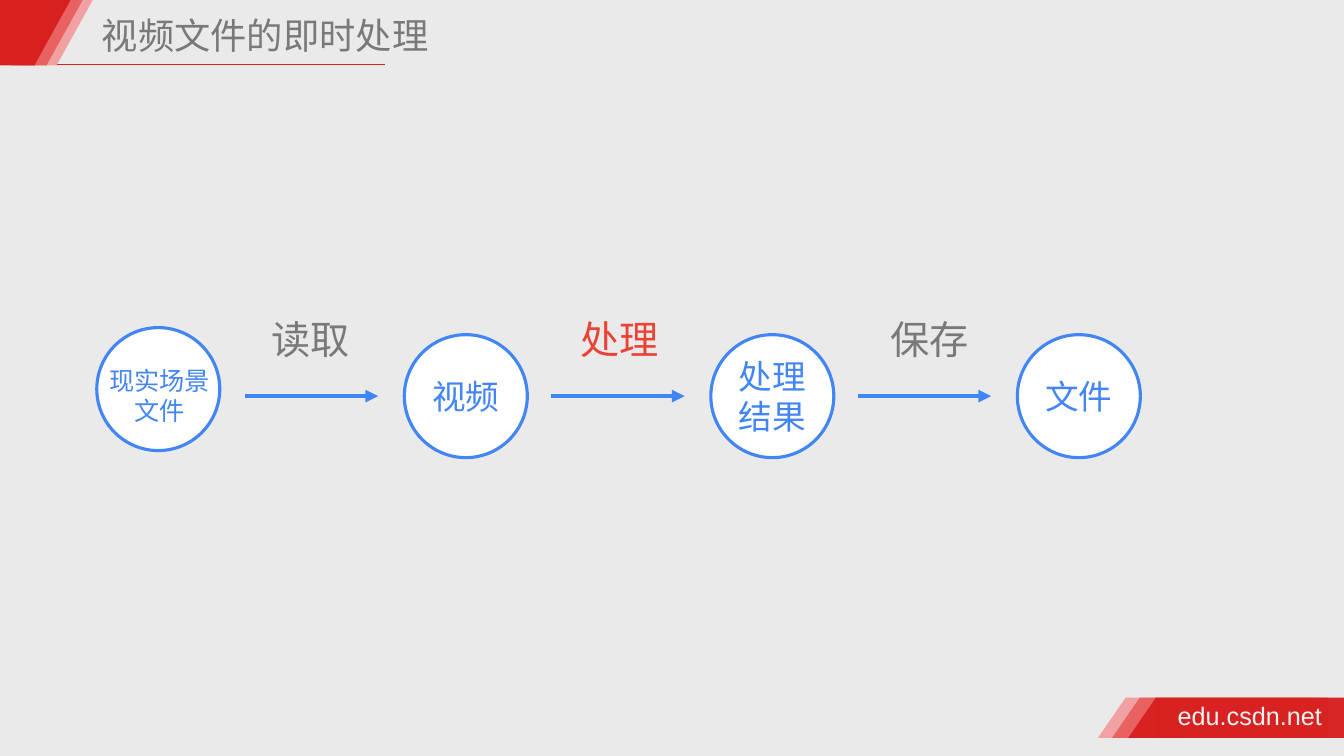
import pptx
import pptx.util
import pptx.dml.color
import pptx.enum.shapes
import pptx.enum.text
import pptx.oxml
import pptx.oxml.ns

WIDTH, HEIGHT = 13.33, 7.5
TITLE = "视频文件的即时处理"
ADDRESS = "edu.csdn.net"
STAGES = [["现实场景", "文件"], ["视频"], ["处理结果"], ["文件"]]
STEPS = [("读取", "797979"), ("处理", "EA4335"), ("保存", "797979")]
BANDS = [
    ("F1A1A1", 100, 0.2, 10.89),
    ("E86262", 100, 0.1, 11.03),
    ("D82020", 97, -0.02, 11.19),
]
RED, BLUE, GRAY = "D82020", "4285F4", "797979"
CJK_FONT = "Noto Sans CJK SC"
FIRST_LEFT, PITCH, DIAMETER = 0.97, 3.04, 1.22
AXIS = 3.93
CORNER_HEIGHT, CORNER_TRIANGLE, CORNER_BLOCK = 0.65, 0.72, 0.35
FOOTER_TOP, FOOTER_HEIGHT, FOOTER_TRIANGLE, FOOTER_BLOCK = 6.92, 0.4, 0.55, 1.87

SHAPES = pptx.enum.shapes.MSO_SHAPE
inch = pptx.util.Inches


def color(value):
    return pptx.dml.color.RGBColor.from_string(value)


def write(shape, lines, size, text_color, font=CJK_FONT, inset=0.05, spacing=None,
          align="LEFT", anchor="TOP", wrap=True):
    frame = shape.text_frame
    frame.word_wrap = wrap
    frame.auto_size = pptx.enum.text.MSO_AUTO_SIZE.NONE
    frame.vertical_anchor = getattr(pptx.enum.text.MSO_ANCHOR, anchor)
    frame.margin_top = frame.margin_bottom = inch(0.05)
    frame.margin_left = frame.margin_right = inch(inset)
    for index, line in enumerate(lines):
        paragraph = frame.add_paragraph() if index else frame.paragraphs[0]
        paragraph.alignment = getattr(pptx.enum.text.PP_ALIGN, align)
        if spacing:
            paragraph.line_spacing = spacing
        run = paragraph.add_run()
        run.text = line
        run.font.size = pptx.util.Pt(size)
        run.font.color.rgb = color(text_color)
        run.font.name = font
        east_asian = pptx.oxml.parse_xml(
            f'<a:ea {pptx.oxml.ns.nsdecls("a")} typeface="{font}"/>')
        run.font._element.append(east_asian)


def add_text(slide, left, top, width, height, lines, size, text_color, **options):
    box = slide.shapes.add_textbox(inch(left), inch(top), inch(width), inch(height))
    write(box, lines, size, text_color, **options)


def add_shape(slide, preset, left, top, width, height, fill, opacity=100):
    shape = slide.shapes.add_shape(preset, inch(left), inch(top), inch(width), inch(height))
    shape.shadow.inherit = False
    shape.fill.solid()
    shape.fill.fore_color.rgb = color(fill)
    shape.line.fill.background()
    if opacity < 100:
        shape._element.spPr.find(".//" + pptx.oxml.ns.qn("a:srgbClr")).append(
            pptx.oxml.parse_xml(
                f'<a:alpha {pptx.oxml.ns.nsdecls("a")} val="{opacity * 1000}"/>'))
    return shape


def add_line(slide, start, end, y, line_color, weight, arrow=False):
    line = slide.shapes.add_connector(
        pptx.enum.shapes.MSO_CONNECTOR.STRAIGHT, inch(start), inch(y), inch(end), inch(y))
    line.line.color.rgb = color(line_color)
    line.line.width = pptx.util.Pt(weight)
    namespace = pptx.oxml.ns.nsdecls("a")
    if arrow:
        line.line._get_or_add_ln().append(
            pptx.oxml.parse_xml(f'<a:tailEnd {namespace} type="triangle"/>'))
    line._element.spPr.append(pptx.oxml.parse_xml(f"<a:effectLst {namespace}/>"))


def add_circle(slide, left, top):
    circle = add_shape(slide, SHAPES.OVAL, left, top, DIAMETER, DIAMETER, "FFFFFF")
    circle.line.color.rgb = color(BLUE)
    circle.line.width = pptx.util.Pt(2.25)
    return circle


def add_frame(slide):
    add_line(slide, 0.49, 3.82, 0.64, RED, 1)
    for fill, opacity, corner_left, footer_left in BANDS:
        add_shape(slide, SHAPES.RECTANGLE, corner_left + 0.01, 0,
                  CORNER_BLOCK, CORNER_HEIGHT, fill)
        corner = add_shape(slide, SHAPES.ISOSCELES_TRIANGLE, corner_left, 0,
                           CORNER_TRIANGLE, CORNER_HEIGHT, fill)
        corner.rotation = 180
        add_shape(slide, SHAPES.RECTANGLE, footer_left + FOOTER_TRIANGLE / 2, FOOTER_TOP,
                  FOOTER_BLOCK, FOOTER_HEIGHT, fill, opacity)
        add_shape(slide, SHAPES.ISOSCELES_TRIANGLE, footer_left, FOOTER_TOP,
                  FOOTER_TRIANGLE, FOOTER_HEIGHT, fill, opacity)
    add_text(slide, 11.63, 6.9, 1.55, 0.4, [ADDRESS], 18, "F2F2F2", font="Arial", wrap=False)
    title = slide.shapes.title
    title.left, title.top, title.width, title.height = map(inch, (0.96, 0.05, 3.86, 0.56))
    write(title, [TITLE], 25.9, GRAY, spacing=1.1, anchor="MIDDLE")


def add_flow(slide):
    for index, lines in enumerate(STAGES):
        left = FIRST_LEFT + index * PITCH
        if index == 0:
            add_circle(slide, left - 0.01, 3.25)
            add_text(slide, 0.87, 3.57, 1.43, 0.71, lines, 18, BLUE, inset=0.1, align="CENTER")
        else:
            circle = add_circle(slide, left, AXIS - DIAMETER / 2)
            write(circle, lines, 24, BLUE, align="CENTER", anchor="MIDDLE")
    for index, (label, label_color) in enumerate(STEPS):
        left = FIRST_LEFT + index * PITCH
        add_line(slide, left + 1.46, left + 2.78, AXIS, BLUE, 3, arrow=True)
        add_text(slide, 2.64 + index * 3.07, 2.85, 0.89, 0.81, [label], 28, label_color,
                 spacing=1.5, wrap=False)


def main():
    presentation = pptx.Presentation()
    presentation.slide_width, presentation.slide_height = inch(WIDTH), inch(HEIGHT)
    slide = presentation.slides.add_slide(presentation.slide_layouts[5])
    slide.background.fill.solid()
    slide.background.fill.fore_color.rgb = color("EAEAEA")
    add_frame(slide)
    add_flow(slide)
    presentation.save("out.pptx")


if __name__ == "__main__":
    main()
